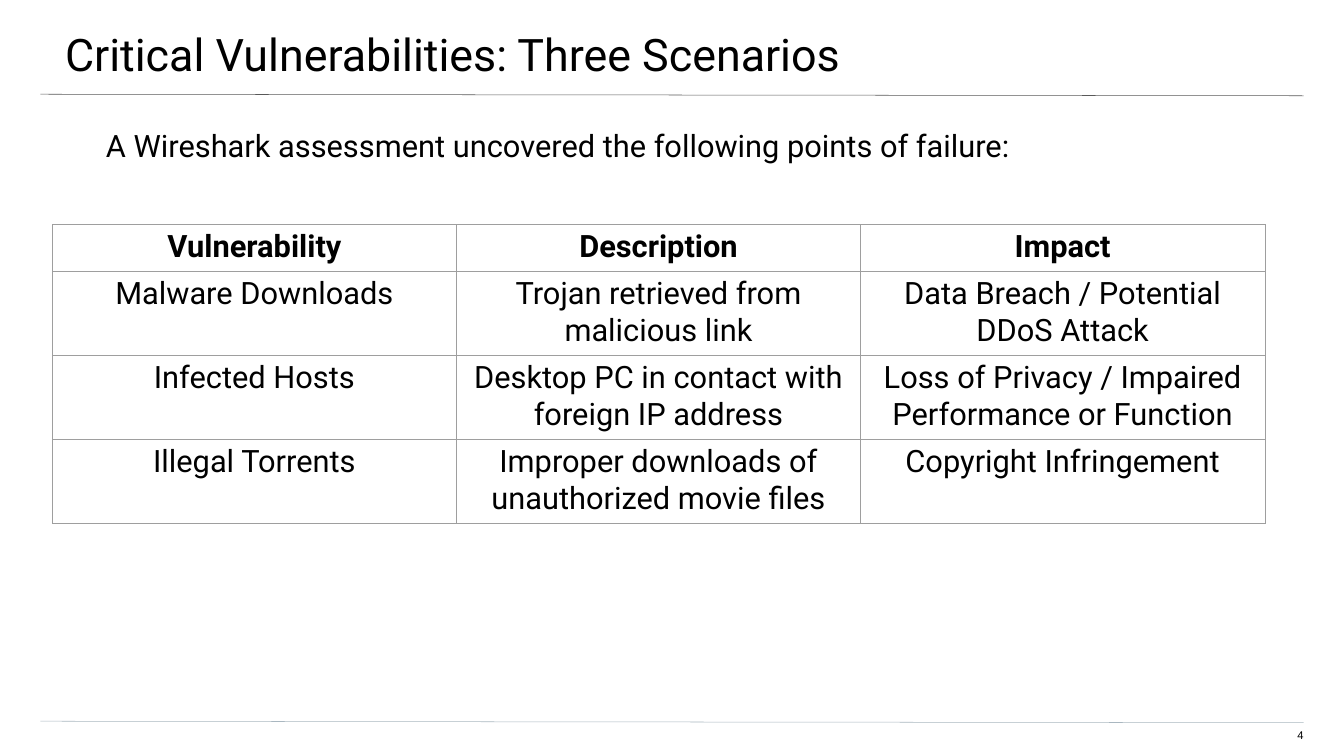
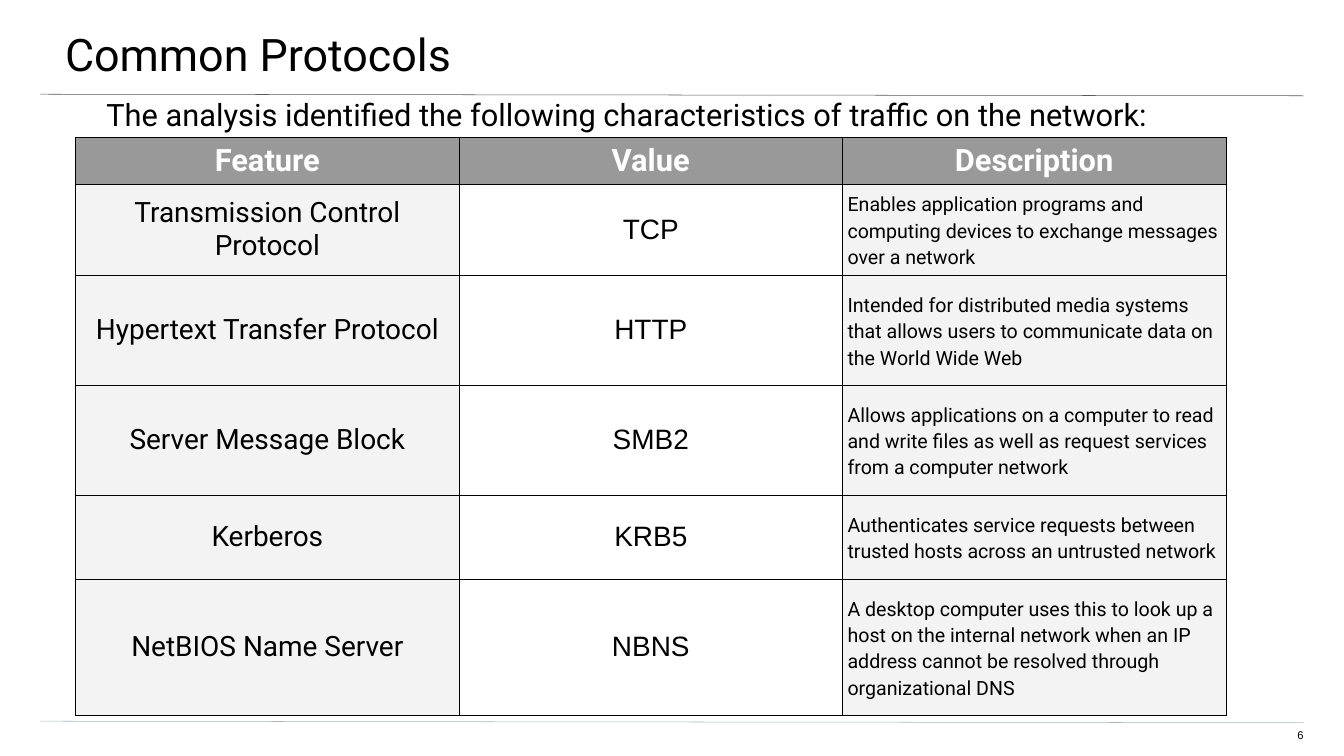
from lxml import etree
from pptx import Presentation
from pptx.dml.color import RGBColor
from pptx.enum.shapes import MSO_CONNECTOR
from pptx.enum.text import MSO_ANCHOR, MSO_AUTO_SIZE, PP_ALIGN
from pptx.oxml.ns import qn
from pptx.util import Inches, Pt

LEFT, CENTER, RIGHT = PP_ALIGN.LEFT, PP_ALIGN.CENTER, PP_ALIGN.RIGHT
TOP, MIDDLE = MSO_ANCHOR.TOP, MSO_ANCHOR.MIDDLE
FIXED_SIZE = MSO_AUTO_SIZE.NONE
STRAIGHT = MSO_CONNECTOR.STRAIGHT

BLACK, WHITE = "000000", "FFFFFF"
TITLE_RULE, FOOTER_RULE = "595959", "A9B7C0"
TABLE_GRAY, HEADER_GRAY, CELL_GRAY = "9E9E9E", "999999", "F3F3F3"
MAIN_FONT, PLAIN_FONT = "Roboto", "Arial"
RULE_WIDTH = 0.75

SCENARIOS = [
    ("Vulnerability", "Description", "Impact"),
    ("Malware Downloads", "Trojan retrieved from malicious link",
     "Data Breach / Potential DDoS Attack"),
    ("Infected Hosts", "Desktop PC in contact with foreign IP address",
     "Loss of Privacy / Impaired Performance or Function"),
    ("Illegal Torrents", "Improper downloads of unauthorized movie files",
     "Copyright Infringement"),
]
PROTOCOLS = [
    ("Feature", "Value", "Description"),
    ("Transmission Control Protocol", "TCP",
     "Enables application programs and computing devices to exchange messages "
     "over a network"),
    ("Hypertext Transfer Protocol", "HTTP",
     "Intended for distributed media systems that allows users to communicate "
     "data on the World Wide Web"),
    ("Server Message Block", "SMB2",
     "Allows applications on a computer to read and write files as well as "
     "request services from a computer network"),
    ("Kerberos", "KRB5",
     "Authenticates service requests between trusted hosts across an untrusted "
     "network"),
    ("NetBIOS Name Server", "NBNS",
     "A desktop computer uses this to look up a host on the internal network "
     "when an IP address cannot be resolved through organizational DNS"),
]


def color(hex_value):
    return RGBColor.from_string(hex_value)


def write(paragraph, text, size, font=MAIN_FONT, fill=BLACK, bold=False, align=LEFT):
    paragraph.alignment = align
    paragraph.line_spacing = 1.0
    run = paragraph.add_run()
    run.text = text
    run.font.size = Pt(size)
    run.font.name = font
    run.font.bold = bold
    run.font.color.rgb = color(fill)


def prepare_frame(shape, box, insets):
    """Place a text shape, set its insets and return its text frame."""
    shape.left, shape.top, shape.width, shape.height = map(Inches, box)
    frame = shape.text_frame
    frame.word_wrap = True
    frame.vertical_anchor = TOP
    (frame.margin_left, frame.margin_top,
     frame.margin_right, frame.margin_bottom) = map(Inches, insets)
    return frame


def add_text_box(slide, box, insets):
    return prepare_frame(slide.shapes.add_textbox(*map(Inches, box)), box, insets)


def add_rule(slide, top, line_color):
    rule = slide.shapes.add_connector(
        STRAIGHT, Inches(0.8), Inches(top), Inches(25.86), Inches(top + 0.03))
    rule.line.color.rgb = color(line_color)
    rule.line.width = Pt(RULE_WIDTH)
    etree.SubElement(rule._element.spPr, qn("a:effectLst"))


def add_base_slide(presentation, title, number):
    """Add a slide with its title, both rules and its number."""
    slide = presentation.slides.add_slide(presentation.slide_layouts[5])
    add_rule(slide, 1.87, TITLE_RULE)
    add_rule(slide, 14.31, FOOTER_RULE)
    frame = prepare_frame(
        slide.shapes.title, (-0.04, 0, 26.73, 1.56), (1.33, 0.53, 0.8, 0.27))
    write(frame.paragraphs[0], title, 64)
    frame = add_text_box(slide, (25.1, 14.46, 0.76, 0.31), (0, 0, 0, 0.27))
    write(frame.paragraphs[0], str(number), 16, PLAIN_FONT, align=RIGHT)
    return slide


def add_intro(slide, text, left, top):
    frame = add_text_box(slide, (left, top, 25.09, 10.79), (1.33, 0, 1.33, 2.67))
    frame.auto_size = FIXED_SIZE
    paragraph = frame.paragraphs[0]
    write(paragraph, text, 44)
    return paragraph


def set_borders(cell, line_color):
    properties = cell._tc.get_or_add_tcPr()
    for side in ("lnL", "lnR", "lnT", "lnB"):
        line = etree.SubElement(properties, qn(f"a:{side}"), w=str(Pt(RULE_WIDTH)))
        fill = etree.SubElement(line, qn("a:solidFill"))
        etree.SubElement(fill, qn("a:srgbClr"), val=line_color)


def add_grid(slide, box, rows, heights, line_color, anchor, style_cell):
    """Add a bordered table; style_cell writes the text and returns the fill."""
    column_count = len(rows[0])
    table = slide.shapes.add_table(len(rows), column_count, *map(Inches, box)).table
    table.first_row = table.horz_banding = False
    for column in table.columns:
        column.width = Inches(box[2] / column_count)
    for row_index, (values, height) in enumerate(zip(rows, heights)):
        table.rows[row_index].height = Inches(height)
        for column_index, text in enumerate(values):
            cell = table.cell(row_index, column_index)
            cell.margin_left = cell.margin_right = Inches(0.1)
            cell.margin_top = cell.margin_bottom = Inches(0.1)
            cell.vertical_anchor = anchor
            set_borders(cell, line_color)
            paragraph = cell.text_frame.paragraphs[0]
            fill = style_cell(paragraph, text, row_index, column_index)
            if fill:
                cell.fill.solid()
                cell.fill.fore_color.rgb = color(fill)
            else:
                cell.fill.background()


def style_scenario(paragraph, text, row, column):
    write(paragraph, text, 44, bold=row == 0, align=CENTER)


def style_protocol(paragraph, text, row, column):
    if row == 0:
        write(paragraph, text, 44, fill=WHITE, bold=True, align=CENTER)
        return HEADER_GRAY
    if column == 0:
        write(paragraph, text, 40, align=CENTER)
        return CELL_GRAY
    if column == 1:
        write(paragraph, text, 40, PLAIN_FONT, align=CENTER)
        return None
    write(paragraph, text, 28)
    paragraph.line_spacing = 1.15
    paragraph.space_after = Pt(10)
    return CELL_GRAY


def add_scenarios_slide(presentation):
    slide = add_base_slide(presentation, "Critical Vulnerabilities: Three Scenarios", 4)
    add_intro(slide, "A Wireshark assessment uncovered the following points of failure:",
              0.77, 2.51)
    add_grid(slide, (1.04, 4.45, 24.05, 5.93), SCENARIOS, [0.42] * len(SCENARIOS),
             TABLE_GRAY, TOP, style_scenario)


def add_protocols_slide(presentation):
    slide = add_base_slide(presentation, "Common Protocols", 6)
    intro = add_intro(
        slide,
        "The analysis identified the following characteristics of traffic on the network:",
        0.78, 1.9)
    intro.space_after = Pt(12)
    add_grid(slide, (1.5, 2.72, 22.82, 11.47), PROTOCOLS,
             [0.72, 1.67, 2.18, 2.18, 1.67, 2.7], BLACK, MIDDLE, style_protocol)


def main():
    presentation = Presentation()
    presentation.slide_width = Inches(26.66)
    presentation.slide_height = Inches(15)
    add_scenarios_slide(presentation)
    add_protocols_slide(presentation)
    presentation.save("out.pptx")


if __name__ == "__main__":
    main()
